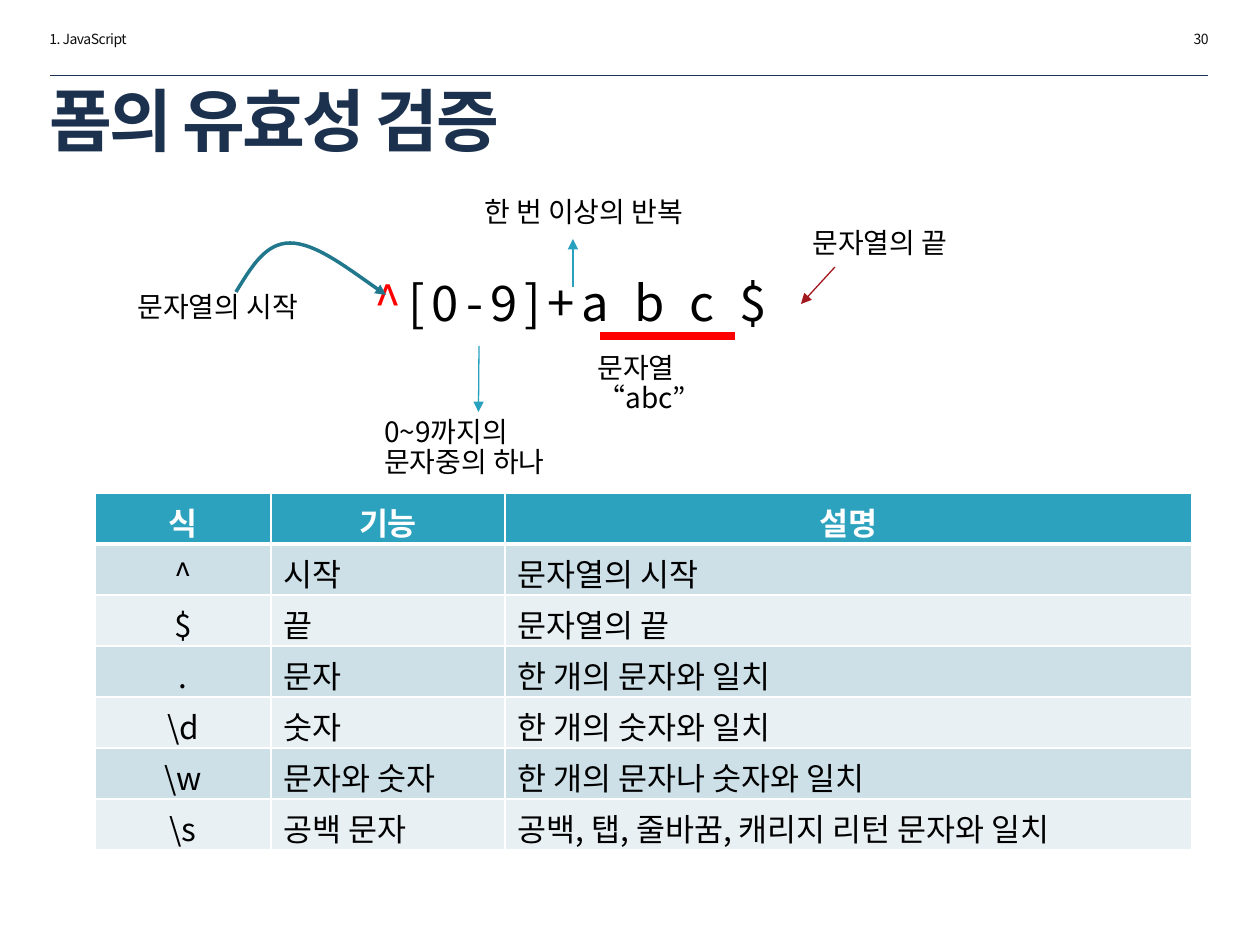
from lxml import etree
from pptx import Presentation
from pptx import util as u
from pptx.dml.color import RGBColor
from pptx.enum import shapes, text
from pptx.oxml.ns import qn

PX = 914400 / 126
FONT = "Noto Sans CJK KR"
COLORS = {
    "navy": "1C314E", "ink": "0D0D0D", "black": "000000", "white": "FFFFFF",
    "red": "FF0000", "crimson": "A3171E", "sky": "28A1BE", "teal": "21788D",
    "head": "2DA2BF", "odd": "CDE0E8", "even": "E8F0F4",
}
RULES = [
    ("식", "기능", "설명"),
    ("^", "시작", "문자열의 시작"),
    ("$", "끝", "문자열의 끝"),
    (".", "문자", "한 개의 문자와 일치"),
    ("\\d", "숫자", "한 개의 숫자와 일치"),
    ("\\w", "문자와 숫자", "한 개의 문자나 숫자와 일치"),
    ("\\s", "공백 문자", "공백, 탭, 줄바꿈, 캐리지 리턴 문자와 일치"),
]


def px(n):
    return u.Emu(round(n * PX))


def rgb(name):
    return RGBColor.from_string(COLORS[name])


def add_run(paragraph, words, size, color, bold=False, spacing=0):
    run = paragraph.add_run()
    run.text = words
    run.font.size = u.Pt(size)
    run.font.bold = bold
    run.font.name = FONT
    run.font.color.rgb = rgb(color)
    props = run.font._element
    if spacing:
        props.set("spc", str(round(spacing * 100)))
    east_asian = etree.Element(qn("a:ea"), typeface=FONT)
    props.find(qn("a:latin")).addnext(east_asian)


def add_label(parent, box, runs, size, align=text.PP_ALIGN.LEFT, anchor=text.MSO_ANCHOR.TOP,
              **style):
    """Place one paragraph; runs are (words, color) pairs."""
    label = parent.add_textbox(*map(px, box))
    frame = label.text_frame
    frame.word_wrap = True
    frame.vertical_anchor = anchor
    paragraph = frame.paragraphs[0]
    paragraph.alignment = align
    paragraph.line_spacing = 0.9
    for words, color in runs:
        add_run(paragraph, words, size, color, **style)
    return label


def style_line(shape, color, width, arrow):
    shape.line.color.rgb = rgb(color)
    shape.line.width = u.Pt(width)
    if arrow:
        etree.SubElement(shape.line._get_or_add_ln(), qn("a:tailEnd"), type="triangle")


def add_line(parent, start, end, color, width, arrow=False):
    line = parent.add_connector(shapes.MSO_CONNECTOR.STRAIGHT, *map(px, (*start, *end)))
    style_line(line, color, width, arrow)
    etree.SubElement(line._element.spPr, qn("a:effectLst"))
    return line


def add_curve(parent, points, color, width):
    """Draw cubic Bezier segments: a start, then three points per segment."""
    start, *rest = [(px(x), px(y)) for x, y in points]
    builder = parent.build_freeform(*start)
    builder.add_line_segments(rest, close=False)
    curve = builder.convert_to_shape()
    outline = curve._element.find(".//" + qn("a:path"))
    steps = outline.findall(qn("a:lnTo"))
    for first in range(0, len(steps), 3):
        segment = etree.SubElement(outline, qn("a:cubicBezTo"))
        for step in steps[first:first + 3]:
            segment.append(step[0])
            outline.remove(step)
    curve.fill.background()
    curve.shadow.inherit = False
    style_line(curve, color, width, True)


def add_header(slide, left, top, width):
    parts = slide.shapes
    number_width = 218
    add_label(parts, (left, top, number_width, 30), [("1. JavaScript", "ink")], 8, spacing=-0.3)
    add_label(parts, (left + width - number_width, top, number_width, 30), [("30", "ink")], 8,
              align=text.PP_ALIGN.RIGHT, spacing=-0.3)
    add_line(parts, (left + 13, top + 49), (left + width - 13, top + 49), "navy", 0.25)
    add_label(parts, (left, top + 58, width, 81), [("폼의 유효성 검증", "navy")], 39,
              anchor=text.MSO_ANCHOR.MIDDLE, bold=True, spacing=-1.5)


def add_pattern_diagram(slide, left, top):
    parts = slide.shapes.add_group_shape().shapes

    def at(x, y):
        return left + x, top + y

    def note(x, y, width, height, words):
        return add_label(parts, (*at(x, y), width, height), [(words, "black")], 16)

    add_label(parts, (*at(237, 81), 556, 72), [("^", "red"), ("[0-9]+a b c $", "black")], 28,
              spacing=4)
    note(0, 95, 210, 47, "문자열의 시작")
    digit_note = note(247, 220, 213, 81, "0~9까지의 문자중의 하나")
    note(347, 0, 271, 47, "한 번 이상의 반복")
    note(460, 156, 180, 81, "문자열 “abc”")
    note(675, 31, 271, 47, "문자열의 끝")

    add_line(parts, at(710, 75), at(676, 112), "crimson", 0.75, arrow=True)
    digit_arrow = add_line(parts, at(354, 154), at(354, 220), "sky", 0.75, arrow=True)
    digit_arrow.end_connect(digit_note, 0)
    start_curve = [(111, 100), (126, 76), (140, 51), (165, 51), (190, 51), (225, 78), (261, 103)]
    add_curve(parts, [at(*point) for point in start_curve], "teal", 2)
    add_line(parts, at(448, 95), at(448, 47), "sky", 0.75, arrow=True)
    add_line(parts, at(475, 144), at(610, 144), "red", 4.5)


def add_borders(cell, bottom_width):
    props = cell._tc.get_or_add_tcPr()
    widths = {"a:lnL": 1, "a:lnR": 1, "a:lnT": 1, "a:lnB": bottom_width}
    for index, (side, width) in enumerate(widths.items()):
        border = etree.Element(qn(side), w=str(u.Pt(width)))
        fill = etree.SubElement(border, qn("a:solidFill"))
        etree.SubElement(fill, qn("a:srgbClr"), val=COLORS["white"])
        props.insert(index, border)


def add_rule_table(slide, left, top):
    column_widths, row_height = (176, 234, 687), 51
    box = (left, top, sum(column_widths), row_height * len(RULES))
    table = slide.shapes.add_table(len(RULES), len(column_widths), *map(px, box)).table
    for column, width in zip(table.columns, column_widths):
        column.width = px(width)
    for r, rule in enumerate(RULES):
        table.rows[r].height = px(row_height)
        is_head = r == 0
        for c, words in enumerate(rule):
            cell = table.cell(r, c)
            cell.margin_top, cell.margin_bottom = px(6), 0
            cell.vertical_anchor = text.MSO_ANCHOR.MIDDLE
            cell.fill.solid()
            cell.fill.fore_color.rgb = rgb("head" if is_head else "odd" if r % 2 else "even")
            add_borders(cell, 3 if is_head else 1)
            paragraph = cell.text_frame.paragraphs[0]
            centred = is_head or c == 0
            paragraph.alignment = text.PP_ALIGN.CENTER if centred else text.PP_ALIGN.LEFT
            add_run(paragraph, words, 18, "white" if is_head else "black", bold=is_head)


def main():
    deck = Presentation()
    deck.slide_width, deck.slide_height = px(1260), px(945)
    slide = deck.slides.add_slide(deck.slide_layouts[6])
    add_header(slide, 37, 26, 1184)
    add_pattern_diagram(slide, 125, 192)
    add_rule_table(slide, 95, 493)
    deck.save("out.pptx")


if __name__ == "__main__":
    main()
